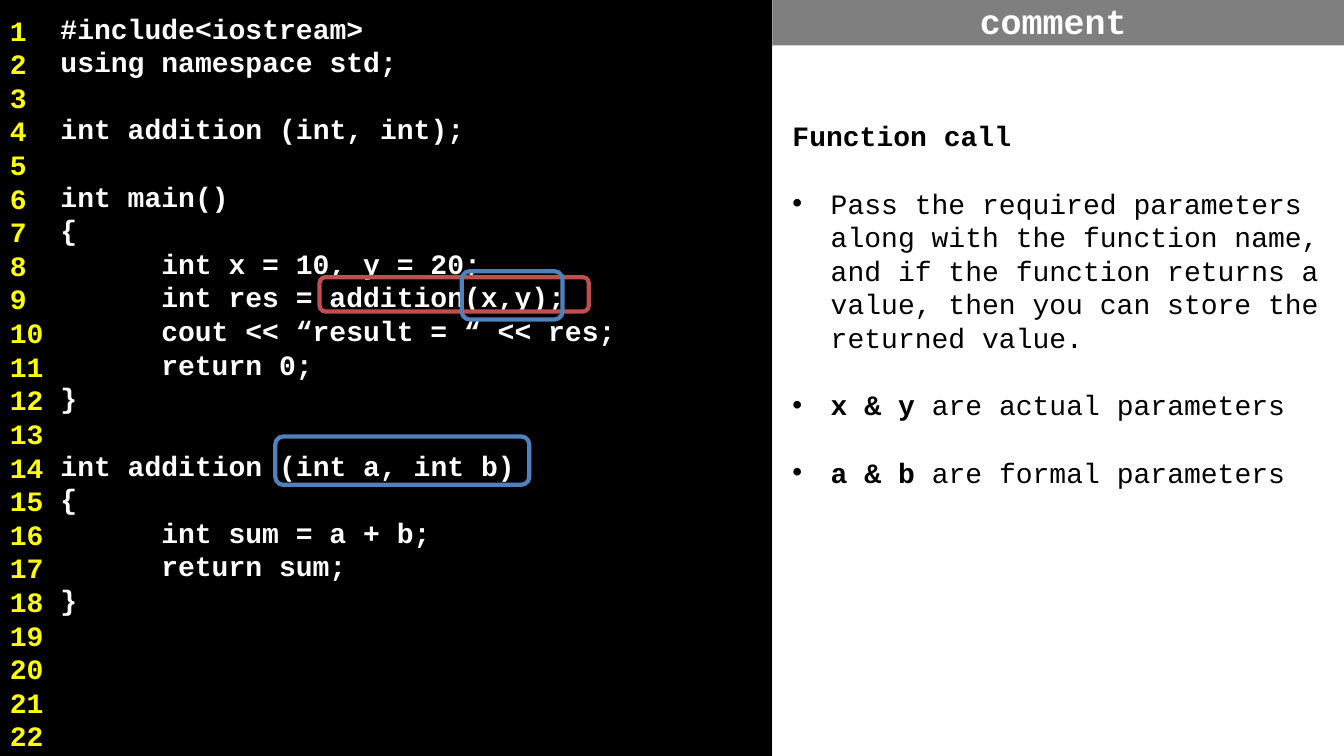
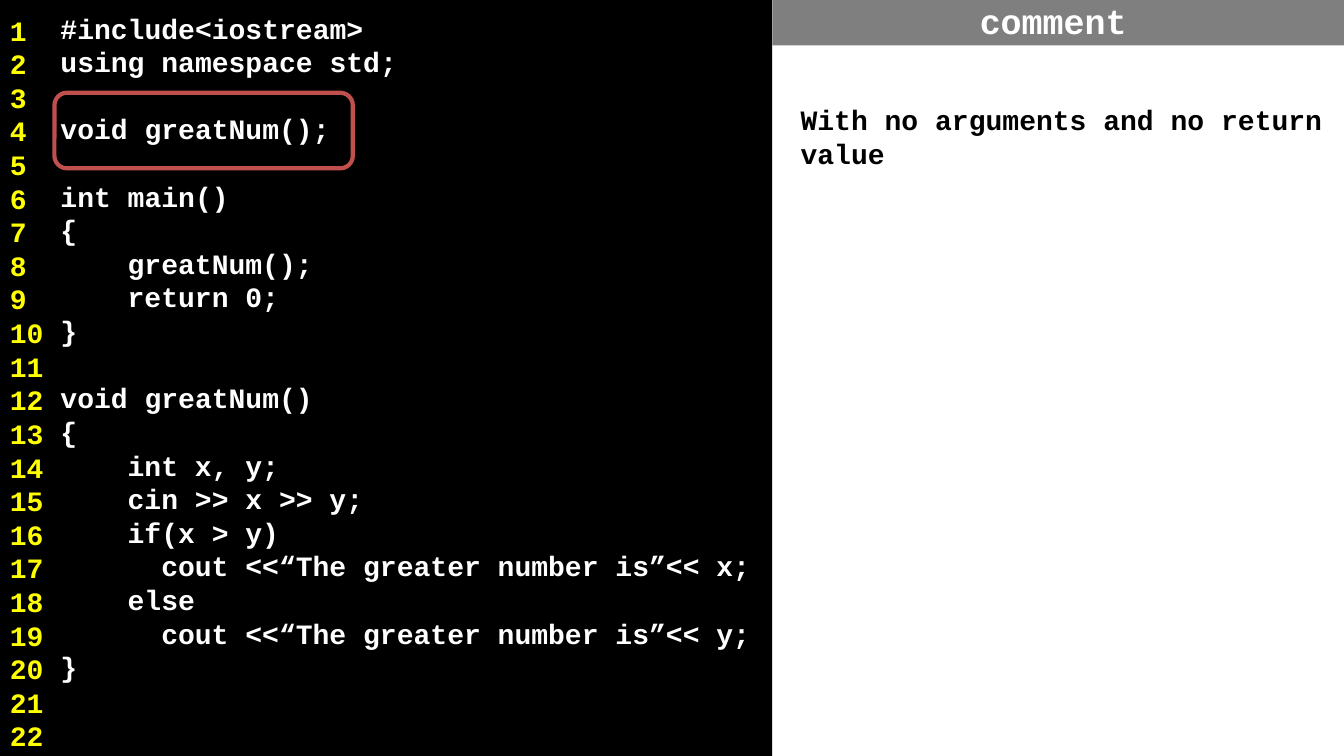
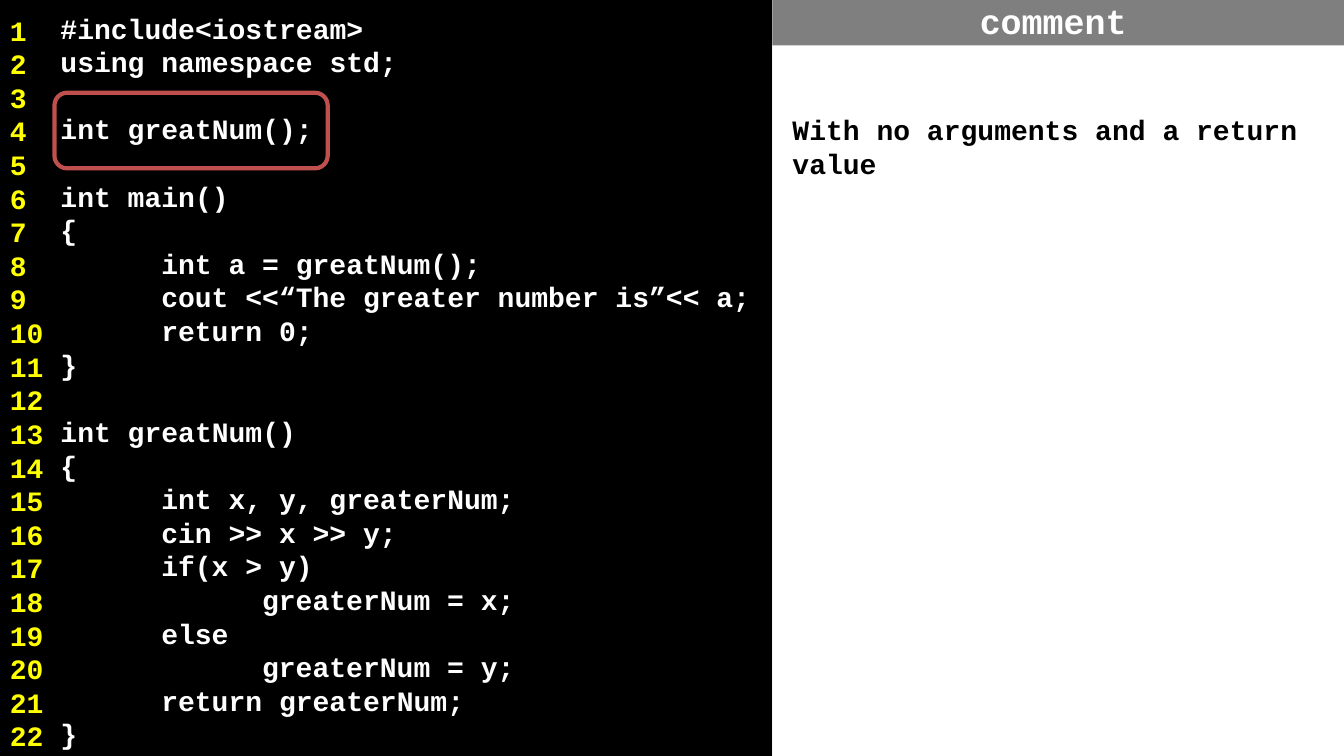
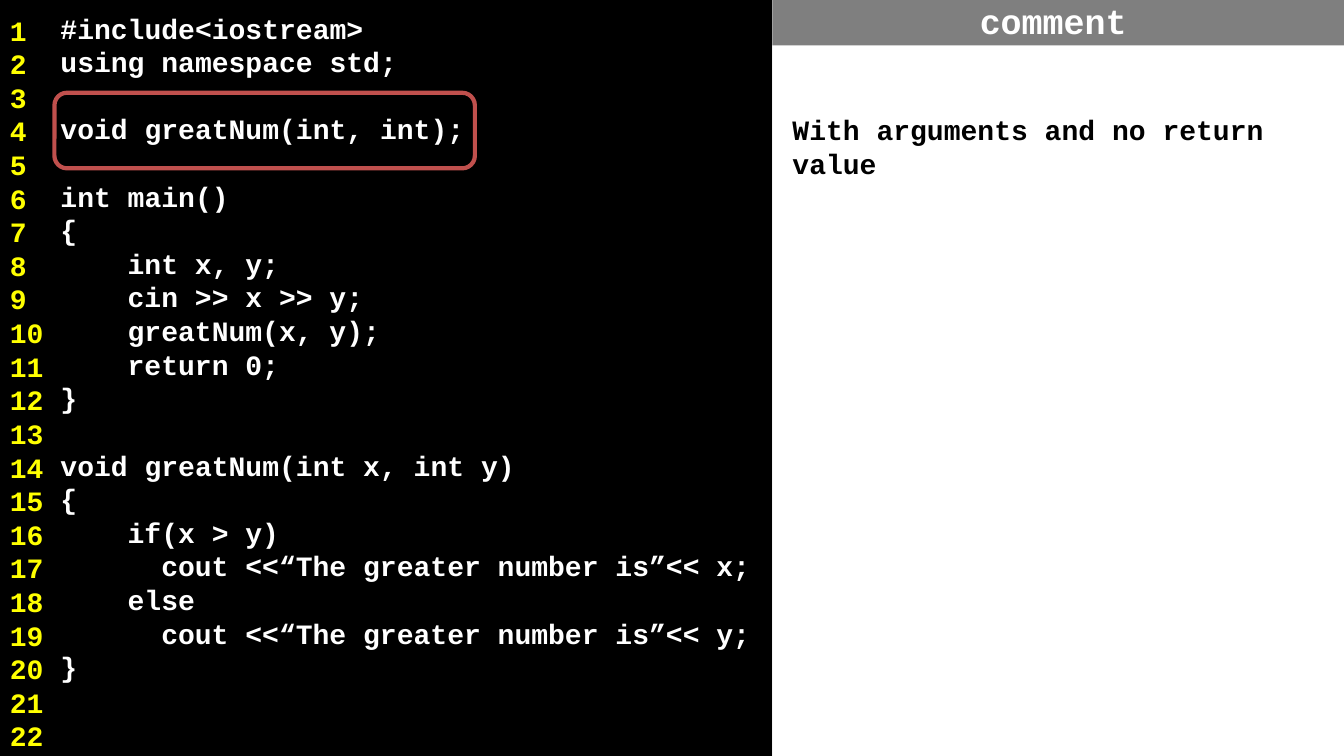
from lxml.etree import SubElement
from pptx import Presentation
from pptx.dml.color import RGBColor
from pptx.enum.shapes import MSO_SHAPE
from pptx.enum.text import MSO_ANCHOR, PP_ALIGN
from pptx.oxml.ns import qn
from pptx.util import Inches, Pt

# Shared style
BLACK = RGBColor(0x00, 0x00, 0x00)
WHITE = RGBColor(0xFF, 0xFF, 0xFF)
YELLOW = RGBColor(0xFF, 0xFF, 0x00)
GRAY = RGBColor(0x7F, 0x7F, 0x7F)
RED = RGBColor(0xC0, 0x50, 0x4D)
BLUE = RGBColor(0x4F, 0x81, 0xBD)

FONT = "Courier New"
TEXT_SIZE = Pt(20)
CHARACTER_WIDTH = Pt(12)
LINE_HEIGHT = Pt(24)
SLIDE_WIDTH, SLIDE_HEIGHT = 13.33, 7.5
CODE_WIDTH = 7.66
GUTTER_WIDTH, GUTTER_TOP = 0.58, 0.08
LINE_COUNT = 22


class CodeDeck:
    """Slides with numbered code on the left and a comment on the right."""

    def __init__(self):
        self.presentation = Presentation()
        self.presentation.slide_width = Inches(SLIDE_WIDTH)
        self.presentation.slide_height = Inches(SLIDE_HEIGHT)
        self.slide = None

    def add_slide(self, code):
        self.slide = self.presentation.slides.add_slide(
            self.presentation.slide_layouts[6])
        self.code_panel(code)
        self.line_numbers()

    def box(self, left, top, width, height, fill=None,
            preset=MSO_SHAPE.RECTANGLE, opacity=None):
        shape = self.slide.shapes.add_shape(
            preset, Inches(left), Inches(top), Inches(width), Inches(height))
        shape.shadow.inherit = False
        shape.line.fill.background()
        if fill is None:
            shape.fill.background()
        else:
            shape.fill.solid()
            shape.fill.fore_color.rgb = fill
        if opacity is not None:
            color = shape._element.spPr.find(".//" + qn("a:srgbClr"))
            SubElement(color, qn("a:alpha"), val=str(opacity * 1000))
        return shape

    def text_frame(self, shape, insets, anchor=MSO_ANCHOR.TOP):
        frame = shape.text_frame
        frame.word_wrap = True
        frame.vertical_anchor = anchor
        (frame.margin_left, frame.margin_top,
         frame.margin_right, frame.margin_bottom) = map(Inches, insets)
        return frame

    def paragraph(self, frame, text, color, bold=True, size=TEXT_SIZE,
                  align=PP_ALIGN.LEFT):
        paragraph = frame.paragraphs[0]
        if paragraph.runs:
            paragraph = frame.add_paragraph()
        paragraph.add_run().text = text
        paragraph.alignment = align
        font = paragraph.font
        font.name, font.size, font.bold = FONT, size, bold
        font.color.rgb = color
        return paragraph

    def code_panel(self, code):
        """Leading spaces become indents, empty lines become spacing."""
        panel = self.box(0, 0, CODE_WIDTH, SLIDE_HEIGHT, BLACK)
        frame = self.text_frame(panel, (0.6, 0.11, 0.1, 1))
        empty_lines = 0
        for line in code.strip().splitlines():
            statement = line.lstrip()
            if not statement:
                empty_lines += 1
                continue
            paragraph = self.paragraph(frame, statement, WHITE)
            indent = (len(line) - len(statement)) * CHARACTER_WIDTH
            if indent:
                paragraph._p.get_or_add_pPr().set("marL", str(indent))
            if empty_lines:
                paragraph.space_before = empty_lines * LINE_HEIGHT
            empty_lines = 0

    def line_numbers(self):
        self.box(0, 0, GUTTER_WIDTH, GUTTER_TOP, BLACK, opacity=68)
        gutter = self.box(0, GUTTER_TOP, GUTTER_WIDTH,
                          SLIDE_HEIGHT - GUTTER_TOP, BLACK, opacity=68)
        frame = self.text_frame(gutter, (0.1, 0.05, 0.1, 1))
        for number in range(1, LINE_COUNT + 1):
            self.paragraph(frame, str(number), YELLOW)

    def comment(self, heading, bullets=(), left=CODE_WIDTH, top=0.4):
        """Each bullet is a pair: bold opening and plain text."""
        panel = self.box(left, top, SLIDE_WIDTH - left, SLIDE_HEIGHT - top,
                         WHITE)
        frame = self.text_frame(panel, (0.2, 0.72, 0, 0))
        self.paragraph(frame, heading, BLACK)
        for opening, text in bullets:
            self.bullet(frame, opening, text)
        self.comment_band()

    def bullet(self, frame, opening, text):
        paragraph = self.paragraph(frame, opening or text, BLACK, bold=False)
        paragraph.space_before = LINE_HEIGHT
        if opening:
            paragraph.runs[0].font.bold = True
            paragraph.add_run().text = text
        properties = paragraph._p.get_or_add_pPr()
        properties.set("marL", str(Inches(0.38)))
        properties.set("indent", str(-Inches(0.38)))
        bullet_font = properties.makeelement(qn("a:buFont"),
                                             {"typeface": "Arial"})
        bullet_mark = properties.makeelement(qn("a:buChar"), {"char": "•"})
        default_run = properties.find(qn("a:defRPr"))
        default_run.addprevious(bullet_font)
        default_run.addprevious(bullet_mark)

    def comment_band(self):
        band = self.box(CODE_WIDTH, 0, SLIDE_WIDTH - CODE_WIDTH, 0.45, GRAY)
        frame = self.text_frame(band, (0, 0.05, 0.1, 0.1), MSO_ANCHOR.MIDDLE)
        self.paragraph(frame, "comment", WHITE, size=Pt(25),
                       align=PP_ALIGN.CENTER)

    def highlight(self, left, top, width, height, color):
        outline = self.box(left, top, width, height,
                           preset=MSO_SHAPE.ROUNDED_RECTANGLE)
        outline.line.color.rgb = color
        outline.line.width = Pt(3)

    def highlight_prototype(self, width):
        self.highlight(0.54, 0.92, width, 0.75, RED)


deck = CodeDeck()

# Slide 1: function call
deck.add_slide("""
#include<iostream>
using namespace std;

int addition (int, int);

int main()
{
      int x = 10, y = 20;
      int res = addition(x,y);
      cout << “result = “ << res;
      return 0;
}

int addition (int a, int b)
{
      int sum = a + b;
      return sum;
}
""")
deck.comment("Function call", [
    ("", "Pass the required parameters along with the function name, and if "
         "the function returns a value, then you can store the returned "
         "value."),
    ("x & y ", "are actual parameters"),
    ("a & b ", "are formal parameters"),
], top=0.46)
deck.highlight(3.17, 2.75, 2.67, 0.34, RED)
deck.highlight(4.58, 2.69, 1, 0.48, BLUE)
deck.highlight(2.73, 4.33, 2.52, 0.48, BLUE)

# Slide 2: no arguments, no return value
deck.add_slide("""
#include<iostream>
using namespace std;

void greatNum();

int main()
{
    greatNum();
    return 0;
}

void greatNum()
{
    int x, y;
    cin >> x >> y;
    if(x > y)
      cout <<“The greater number is”<< x;
    else
      cout <<“The greater number is”<< y;
}
""")
deck.comment("With no arguments and no return value", left=7.74, top=0.3)
deck.highlight_prototype(2.96)

# Slide 3: no arguments, a return value
deck.add_slide("""
#include<iostream>
using namespace std;

int greatNum();

int main()
{
      int a = greatNum();
      cout <<“The greater number is”<< a;
      return 0;
}

int greatNum()
{
      int x, y, greaterNum;
      cin >> x >> y;
      if(x > y)
            greaterNum = x;
      else
            greaterNum = y;
      return greaterNum;
}
""")
deck.comment("With no arguments and a return value")
deck.highlight_prototype(2.71)

# Slide 4: arguments, no return value
deck.add_slide("""
#include<iostream>
using namespace std;

void greatNum(int, int);

int main()
{
    int x, y;
    cin >> x >> y;
    greatNum(x, y);
    return 0;
}

void greatNum(int x, int y)
{
    if(x > y)
      cout <<“The greater number is”<< x;
    else
      cout <<“The greater number is”<< y;
}
""")
deck.comment("With arguments and no return value")
deck.highlight_prototype(4.17)

deck.presentation.save("out.pptx")
